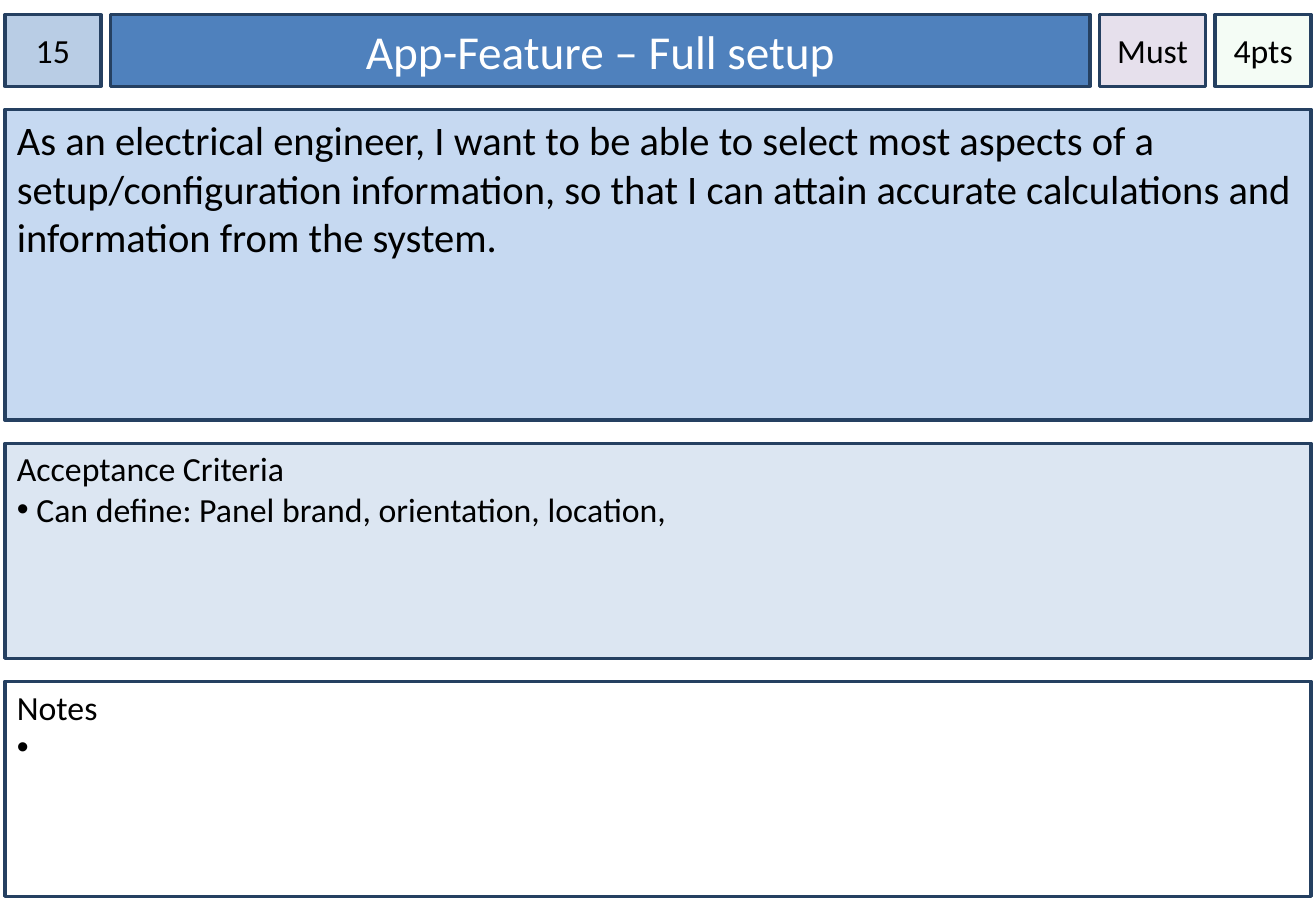
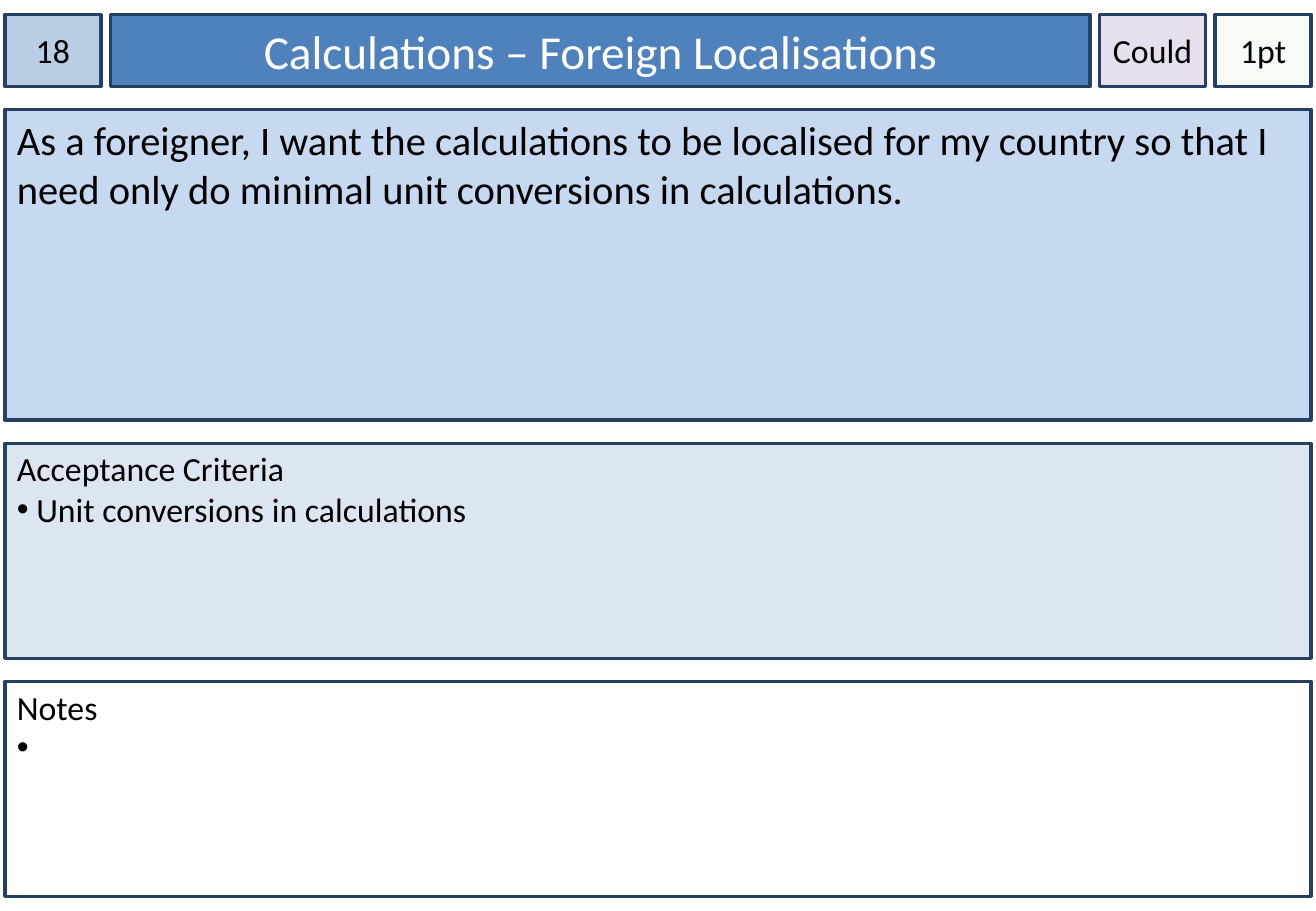
from lxml import etree
from pptx import Presentation
from pptx import util as u
from pptx.dml.color import RGBColor
from pptx.enum import shapes, text
from pptx.oxml.ns import qn

WIDTH, HEIGHT = 10.83, 7.5
MARGIN, TOP = 0.04, 0.12
COL_GAP, ROW_GAP = 0.08, 0.19
ID_W, PRIORITY_W, POINTS_W = 0.79, 0.87, 0.79
HEADER_H, STORY_H, LIST_H = 0.59, 2.56, 1.77
BULLET_INDENT = 0.16
FONT = "Calibri"

BORDER = RGBColor(0x25, 0x40, 0x61)
BLACK = RGBColor(0x00, 0x00, 0x00)
WHITE = RGBColor(0xFF, 0xFF, 0xFF)
ID_FILL = RGBColor(0xB9, 0xCD, 0xE5)
TITLE_FILL = RGBColor(0x4F, 0x81, 0xBD)
PRIORITY_FILL = RGBColor(0xE6, 0xE0, 0xEC)
POINTS_FILL = RGBColor(0xCC, 0xF0, 0xCD)
STORY_FILL = RGBColor(0xC6, 0xD9, 0xF1)
CRITERIA_FILL = RGBColor(0xDC, 0xE6, 0xF2)

CARDS = [
    dict(number="15", title="App-Feature – Full setup", priority="Must", points="4pts",
         story="As an electrical engineer, I want to be able to select most aspects of a "
               "setup/configuration information, so that I can attain accurate calculations "
               "and information from the system.",
         criteria=["Can define: Panel brand, orientation, location,"]),
    dict(number="18", title="Calculations – Foreign Localisations", priority="Could", points="1pt",
         story="As a foreigner, I want the calculations to be localised for my country so that "
               "I need only do minimal unit conversions in calculations.",
         criteria=["Unit conversions in calculations"]),
]


def split(start, sizes, gap):
    """Return (start, size) pairs for consecutive cells with equal gaps."""
    cells = []
    for size in sizes:
        cells.append((start, size))
        start += size + gap
    return cells


def style_box(sp, box, fill, anchor, insets):
    """Place a shape and give it the shared border, a fill and text margins."""
    sp.left, sp.top, sp.width, sp.height = (u.Inches(v) for v in box)
    sp.fill.solid()
    sp.fill.fore_color.rgb = fill
    sp.line.color.rgb = BORDER
    sp.line.width = u.Pt(2)
    tf = sp.text_frame
    tf.word_wrap = True
    tf.auto_size = text.MSO_AUTO_SIZE.NONE
    tf.vertical_anchor = anchor
    side, top = insets
    tf.margin_left = tf.margin_right = u.Inches(side)
    tf.margin_top, tf.margin_bottom = u.Inches(top), u.Inches(0.05)


def add_box(s, box, fill, anchor=text.MSO_ANCHOR.TOP, insets=(0.1, 0.05)):
    """Add a bordered rectangle."""
    sp = s.shapes.add_shape(shapes.MSO_SHAPE.RECTANGLE, 0, 0, 0, 0)
    sp.shadow.inherit = False
    style_box(sp, box, fill, anchor, insets)
    return sp


def write(p, words, size, color=BLACK, align=text.PP_ALIGN.LEFT):
    """Write one run into a paragraph."""
    p.alignment = align
    r = p.add_run()
    r.text = words
    r.font.name, r.font.size, r.font.color.rgb = FONT, u.Pt(size), color


def add_bullet(p):
    """Give a paragraph a hanging round bullet."""
    pPr = p._p.get_or_add_pPr()
    indent = u.Inches(BULLET_INDENT)
    pPr.set("marL", str(indent))
    pPr.set("indent", str(-indent))
    etree.SubElement(pPr, qn("a:buFont")).set("typeface", "Arial")
    etree.SubElement(pPr, qn("a:buChar")).set("char", "•")


def set_opacity(sp, percent):
    """Make a solid fill partly transparent."""
    color = sp.fill._xPr.find(qn("a:solidFill"))[0]
    etree.SubElement(color, qn("a:alpha")).set("val", str(percent * 1000))


def add_tag(s, box, words, fill):
    """Add a small centred header cell."""
    sp = add_box(s, box, fill, text.MSO_ANCHOR.MIDDLE, (0, 0.05))
    write(sp.text_frame.paragraphs[0], words, 20, align=text.PP_ALIGN.CENTER)
    return sp


def add_header(s, box, card):
    """Fill the header row: number, title, priority and points."""
    left, top, width, height = box
    title_w = width - ID_W - PRIORITY_W - POINTS_W - 3 * COL_GAP
    columns = split(left, (ID_W, title_w, PRIORITY_W, POINTS_W), COL_GAP)
    number, title, priority, points = [(x, top, w, height) for x, w in columns]
    style_box(s.shapes.title, title, TITLE_FILL, text.MSO_ANCHOR.MIDDLE, (0.1, 0.05))
    write(s.shapes.title.text_frame.paragraphs[0], card["title"], 28, WHITE,
          text.PP_ALIGN.CENTER)
    add_tag(s, number, card["number"], ID_FILL)
    add_tag(s, priority, card["priority"], PRIORITY_FILL)
    set_opacity(add_tag(s, points, card["points"], POINTS_FILL), 20)


def add_story(s, box, story):
    """Add the user story panel."""
    sp = add_box(s, box, STORY_FILL)
    write(sp.text_frame.paragraphs[0], story, 24)


def add_list(s, box, heading, items, fill):
    """Add a panel with a heading and bullets."""
    tf = add_box(s, box, fill, insets=(0.1, 0.04)).text_frame
    write(tf.paragraphs[0], heading, 20)
    for item in items:
        p = tf.add_paragraph()
        add_bullet(p)
        write(p, item, 20)


def add_card(prs, card):
    """Add one story card slide."""
    s = prs.slides.add_slide(prs.slide_layouts[5])
    width = WIDTH - 2 * MARGIN
    rows = split(TOP, (HEADER_H, STORY_H, LIST_H, LIST_H), ROW_GAP)
    header, story, criteria, notes = [(MARGIN, y, width, h) for y, h in rows]
    add_header(s, header, card)
    add_story(s, story, card["story"])
    add_list(s, criteria, "Acceptance Criteria", card["criteria"], CRITERIA_FILL)
    add_list(s, notes, "Notes", [" "], WHITE)


def main():
    """Build the deck of story cards."""
    prs = Presentation()
    prs.slide_width, prs.slide_height = u.Inches(WIDTH), u.Inches(HEIGHT)
    for card in CARDS:
        add_card(prs, card)
    prs.save("out.pptx")


if __name__ == "__main__":
    main()
